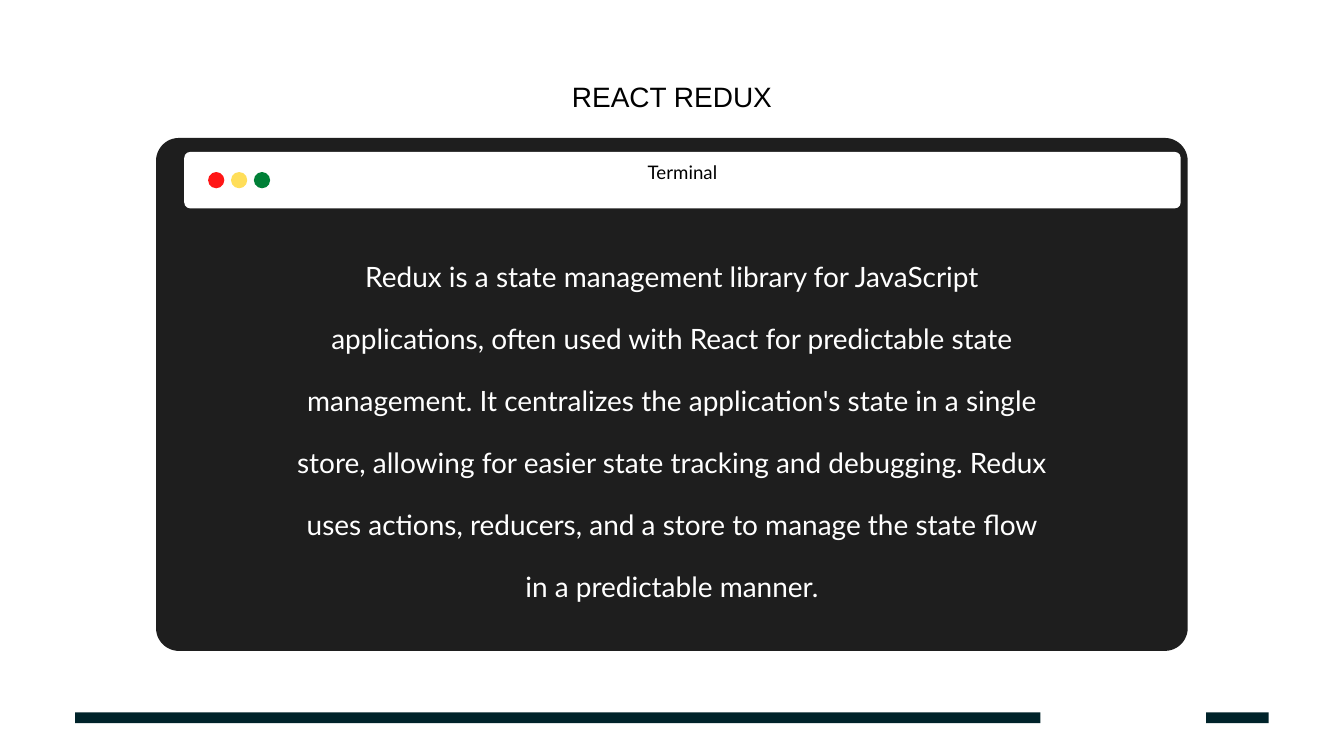
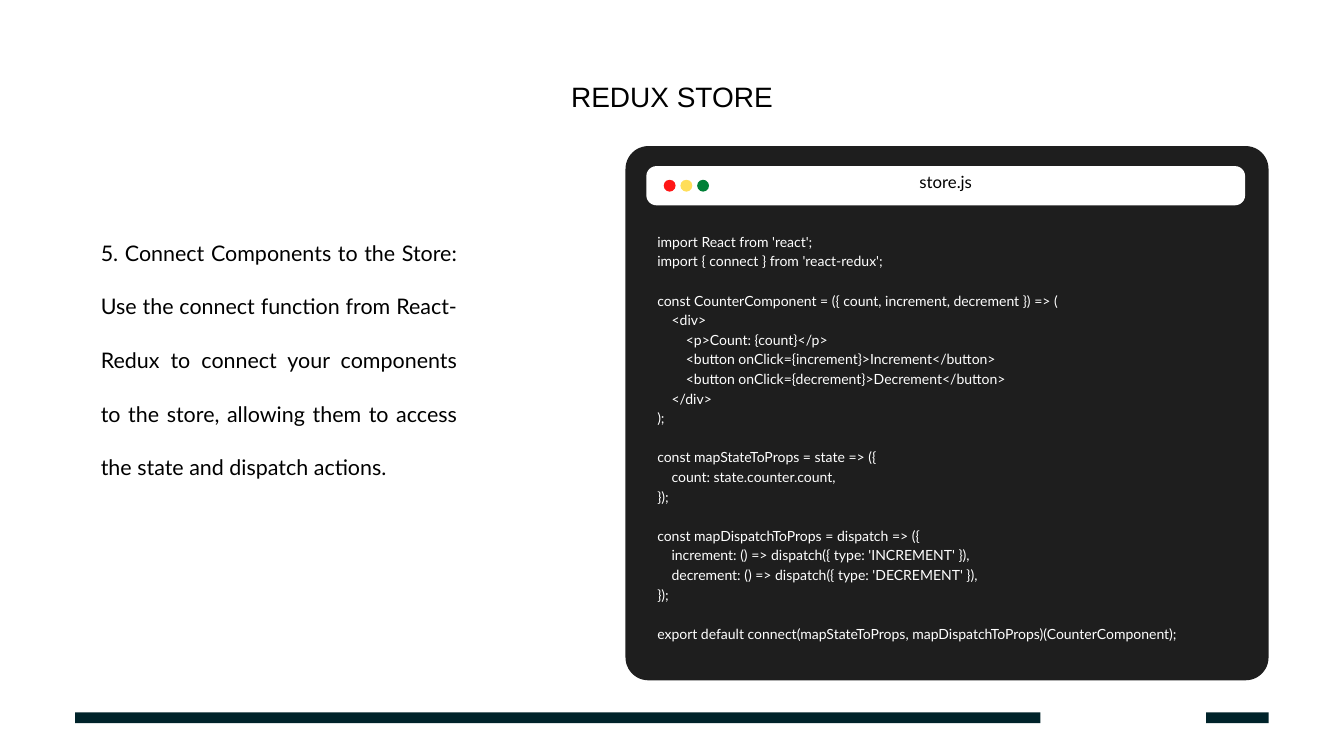
from typing import NamedTuple

from lxml.etree import SubElement
from pptx import Presentation
from pptx.dml.color import RGBColor
from pptx.enum.shapes import MSO_SHAPE
from pptx.enum.text import MSO_ANCHOR, MSO_AUTO_SIZE, PP_ALIGN
from pptx.oxml.ns import qn
from pptx.util import Pt

BLACK = RGBColor(0x00, 0x00, 0x00)
WHITE = RGBColor(0xFF, 0xFF, 0xFF)
FOOTER_TEAL = RGBColor(0x00, 0x23, 0x2A)
EDITOR_DARK = RGBColor(0x1E, 0x1E, 0x1E)
CLOSE_RED = RGBColor(0xFF, 0x16, 0x16)
MINIMIZE_YELLOW = RGBColor(0xFF, 0xDE, 0x59)
EXPAND_GREEN = RGBColor(0x00, 0x80, 0x37)
BUTTON_COLORS = (CLOSE_RED, MINIMIZE_YELLOW, EXPAND_GREEN)
HEADING_FONT = "Arial"
BODY_FONT = "Lato"


class Box(NamedTuple):
    """A rectangle in points."""
    left: float
    top: float
    width: float
    height: float


TITLE_BOX = Box(474, 61.2, 492, 55.4)
FOOTER_BOX = Box(80.6, 763.2, 1278.8, 11.5)
FOOTER_LONG, FOOTER_SHORT = 1034, 67

REDUX_SUMMARY = (
    "Redux is a state management library for JavaScript applications, often used with "
    "React for predictable state management. It centralizes the application's state in "
    "a single store, allowing for easier state tracking and debugging. Redux uses "
    "actions, reducers, and a store to manage the state flow in a predictable manner."
)
CONNECT_STEP = (
    "5. Connect Components to the Store: Use the connect function from React-Redux to "
    "connect your components to the store, allowing them to access the state and "
    "dispatch actions."
)
STORE_CODE = """import React from 'react';
import { connect } from 'react-redux';

const CounterComponent = ({ count, increment, decrement }) => (
    <div>
        <p>Count: {count}</p>
        <button onClick={increment}>Increment</button>
        <button onClick={decrement}>Decrement</button>
    </div>
);

const mapStateToProps = state => ({
    count: state.counter.count,
});

const mapDispatchToProps = dispatch => ({
    increment: () => dispatch({ type: 'INCREMENT' }),
    decrement: () => dispatch({ type: 'DECREMENT' }),
});

export default connect(mapStateToProps, mapDispatchToProps)(CounterComponent);"""


def place(shape, box):
    """Move and size a shape to a box."""
    shape.left, shape.top, shape.width, shape.height = map(Pt, box)


def write(shape, text, *, size, leading, color=BLACK, font=BODY_FONT,
          align=PP_ALIGN.LEFT, anchor=MSO_ANCHOR.TOP, inset=0, bulleted=True):
    """Write text line by line; an empty line becomes space above the next one."""
    frame = shape.text_frame
    frame.word_wrap = True
    frame.auto_size = MSO_AUTO_SIZE.NONE
    frame.vertical_anchor = anchor
    frame.margin_left = frame.margin_right = Pt(inset)
    frame.margin_top = frame.margin_bottom = Pt(inset)
    frame.text = text.replace("\n\n", "\n")
    block_starts = set()
    line_count = 0
    for block in text.split("\n\n"):
        block_starts.add(line_count)
        line_count += len(block.split("\n"))
    for number, paragraph in enumerate(frame.paragraphs):
        if not bulleted:
            properties = paragraph._p.get_or_add_pPr()
            properties.set("marL", "0")
            properties.set("indent", "0")
            SubElement(properties, qn("a:buNone"))
        paragraph.alignment = align
        paragraph.line_spacing = Pt(leading)
        paragraph.space_before = Pt(leading if number and number in block_starts else 0)
        paragraph.font.size = Pt(size)
        paragraph.font.name = font
        paragraph.font.color.rgb = color


def add_panel(slide, preset, box, color, radius=None):
    """Add a plain filled shape, with a corner radius in points if given."""
    panel = slide.shapes.add_shape(preset, *map(Pt, box))
    panel.shadow.inherit = False
    panel.fill.solid()
    panel.fill.fore_color.rgb = color
    panel.line.fill.background()
    if radius is not None:
        panel.adjustments[0] = radius / min(box.width, box.height)


def add_label(slide, box, text, **text_format):
    """Add a text box with formatted text."""
    label = slide.shapes.add_textbox(*map(Pt, box))
    write(label, text, **text_format)


def add_footer(slide, box):
    """Draw the long bar at the left end of the box and the short one at the right."""
    short_left = box.left + box.width - FOOTER_SHORT
    for left, width in ((box.left, FOOTER_LONG), (short_left, FOOTER_SHORT)):
        add_panel(slide, MSO_SHAPE.RECTANGLE, Box(left, box.top, width, box.height),
                  FOOTER_TEAL)


def add_title_bar(slide, box, caption, *, size, rise, radius, button):
    """Draw a window's title bar with its caption and three round buttons."""
    add_panel(slide, MSO_SHAPE.ROUNDED_RECTANGLE, box, WHITE, radius)
    caption_box = Box(box.left, box.top - rise, box.width, box.height + rise)
    add_label(slide, caption_box, caption, size=size, leading=1.4 * size,
              align=PP_ALIGN.CENTER, anchor=MSO_ANCHOR.MIDDLE, inset=4)
    button_top = box.top + (box.height - button) / 2
    for position, color in enumerate(BUTTON_COLORS):
        button_left = box.left + button * (1.47 + 1.41 * position)
        add_panel(slide, MSO_SHAPE.OVAL, Box(button_left, button_top, button, button),
                  color)


def add_window(slide, box, bar, caption, **bar_format):
    """Draw a dark window; the bar is placed relative to the window's corner."""
    add_panel(slide, MSO_SHAPE.ROUNDED_RECTANGLE, box, EDITOR_DARK, 24.5)
    bar_box = Box(box.left + bar.left, box.top + bar.top, bar.width, bar.height)
    add_title_bar(slide, bar_box, caption, **bar_format)


def start_slide(deck, title):
    """Add a slide with the shared title and footer and return it with its body."""
    slide = deck.slides.add_slide(deck.slide_layouts[1])
    place(slide.shapes.title, TITLE_BOX)
    write(slide.shapes.title, title, size=30, leading=60, font=HEADING_FONT,
          align=PP_ALIGN.CENTER)
    add_footer(slide, FOOTER_BOX)
    return slide, slide.placeholders[1]


def build_summary_slide(deck):
    """Show the definition of Redux inside a terminal window."""
    slide, summary = start_slide(deck, "REACT REDUX")
    window = Box(167.2, 147.8, 1105.4, 549.6)
    add_window(slide, window, Box(30.2, 15, 1067.6, 60.5), "Terminal",
               size=20, rise=22.3, radius=6.3, button=17.4)
    place(summary, Box(window.left + 146, window.top + 99.2, 813.6, 388))
    write(summary, REDUX_SUMMARY, size=30, leading=66.6, color=WHITE,
          align=PP_ALIGN.CENTER, bulleted=False)
    summary.element.getparent().append(summary.element)


def build_store_slide(deck):
    """Show the connect step beside its code in an editor window."""
    slide, step = start_slide(deck, "REDUX STORE")
    place(step, Box(108, 226.8, 382.3, 334.8))
    write(step, CONNECT_STEP, size=23, leading=57.5, align=PP_ALIGN.JUSTIFY,
          bulleted=False)
    window = Box(670.2, 156.5, 689, 572.4)
    add_window(slide, window, Box(22.3, 21.5, 641.6, 42), "store.js",
               size=18, rise=13, radius=10.8, button=12.7)
    code_box = Box(window.left + 34, window.top + 90.5, 630, 440)
    add_label(slide, code_box, STORE_CODE, size=15, leading=21, color=WHITE)


def main():
    """Build and save the deck."""
    deck = Presentation()
    deck.slide_width, deck.slide_height = Pt(1440), Pt(810)
    build_summary_slide(deck)
    build_store_slide(deck)
    deck.save("out.pptx")


if __name__ == "__main__":
    main()
